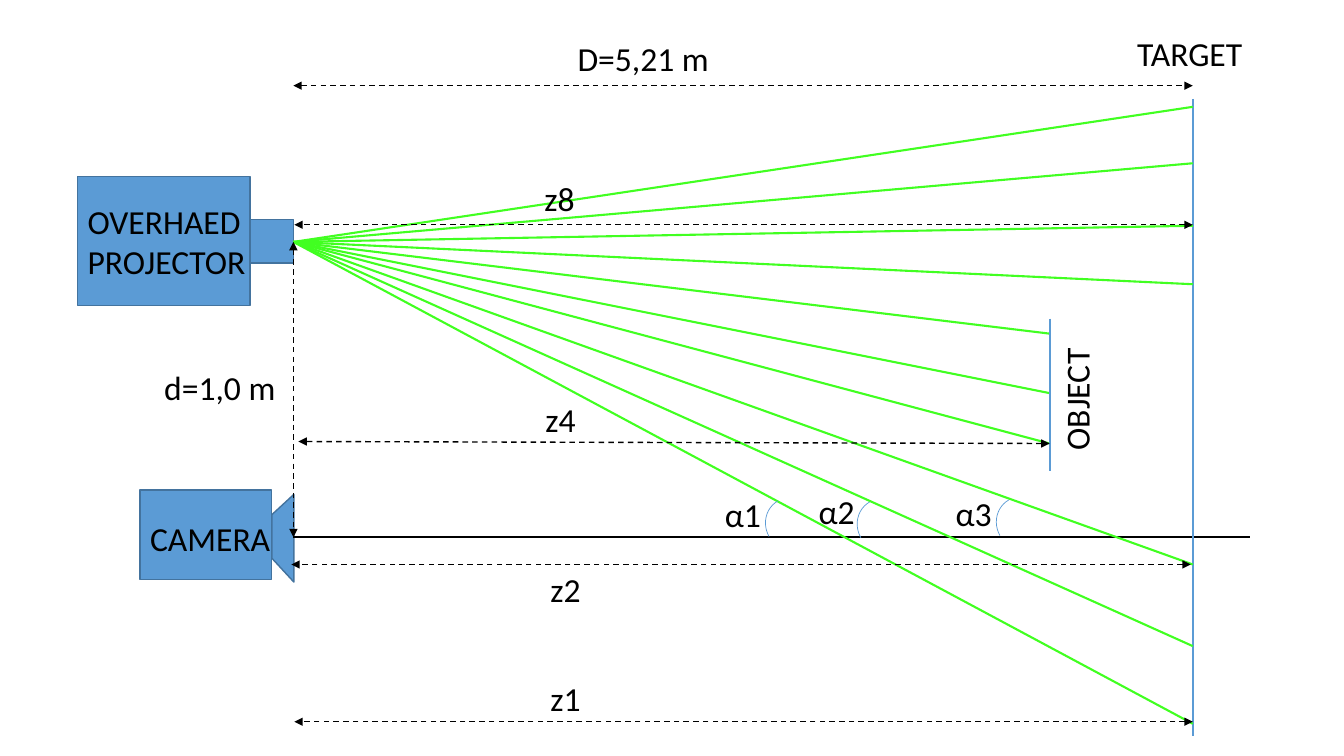
from dataclasses import dataclass
from pptx import Presentation
from pptx.dml.color import RGBColor
from pptx.enum.dml import MSO_LINE
from pptx.enum.shapes import MSO_CONNECTOR, MSO_SHAPE
from pptx.enum.text import MSO_AUTO_SIZE
from pptx.oxml.ns import qn
from pptx.util import Inches, Pt
from lxml.etree import SubElement


@dataclass(frozen=True)
class Theme:
    """Colours, type and line widths of the diagram."""
    blue: RGBColor = RGBColor(0x5B, 0x9B, 0xD5)
    edge: RGBColor = RGBColor(0x43, 0x73, 0x9E)
    green: RGBColor = RGBColor(0x41, 0xFF, 0x21)
    black: RGBColor = RGBColor(0, 0, 0)
    font: str = "Calibri"
    size: Pt = Pt(24)
    thin: Pt = Pt(0.5)
    fine: Pt = Pt(1)
    bold: Pt = Pt(1.5)


THEME = Theme()
LENS = 2.91
WALL = 11.83
FACE = 10.41
AXIS = 5.33
BEAM = 2.4


def add_part(slide, kind, box, turn=0):
    """Add a filled part of a device."""
    part = slide.shapes.add_shape(kind, *map(Inches, box))
    part.rotation = turn
    part.shadow.inherit = False
    part.fill.solid()
    part.fill.fore_color.rgb = THEME.blue
    part.line.color.rgb = THEME.edge
    part.line.width = THEME.fine


def add_arc(slide, left, top):
    """Add the arc that marks an angle."""
    arc = slide.shapes.add_shape(
        MSO_SHAPE.ARC, *map(Inches, (left, top, 0.53, 0.5)))
    arc.rotation = 240.6
    arc.shadow.inherit = False
    arc.fill.background()
    arc.line.color.rgb = THEME.blue
    arc.line.width = THEME.thin


def add_line(slide, start, end, color, width=THEME.bold):
    """Add a straight line without shadow."""
    line = slide.shapes.add_connector(
        MSO_CONNECTOR.STRAIGHT, *map(Inches, (*start, *end)))
    line.line.color.rgb = color
    line.line.width = width
    SubElement(line.element.spPr, qn("a:effectLst"))
    return line


def add_span(slide, start, end):
    """Add a dashed dimension line with two arrowheads."""
    span = add_line(slide, start, end, THEME.black, THEME.fine)
    span.line.dash_style = MSO_LINE.DASH
    stroke = span.element.spPr.find(qn("a:ln"))
    for tag in ("a:headEnd", "a:tailEnd"):
        SubElement(stroke, qn(tag), type="triangle")


def add_label(slide, text, left, top, width, height=0.5, turn=0):
    """Add a text label."""
    label = slide.shapes.add_textbox(
        *map(Inches, (left, top, width, height)))
    label.rotation = turn
    frame = label.text_frame
    frame.word_wrap = True
    frame.auto_size = MSO_AUTO_SIZE.SHAPE_TO_FIT_TEXT
    frame.text = text
    font = frame.paragraphs[0].font
    font.name = THEME.font
    font.size = THEME.size
    font.color.rgb = THEME.black


def add_gear(slide):
    """Draw the projector and the camera with their names."""
    block = MSO_SHAPE.FLOWCHART_PROCESS
    add_part(slide, block, (0.77, 1.75, 1.71, 1.28))
    add_part(slide, block, (1.39, 4.86, 1.3, 0.89))
    add_part(slide, MSO_SHAPE.DIAGONAL_STRIPE, (2.62, 5.02, 0.59, 0.64), 317.3)
    add_part(slide, MSO_SHAPE.RECTANGLE, (2.48, 2.18, 0.43, 0.43))
    add_label(slide, "OVERHAED PROJECTOR", 0.77, 1.94, 1.82, 0.91)
    add_label(slide, "CAMERA", 1.39, 5.09, 1.4)


def add_scene(slide):
    """Draw the camera axis, the target, the object and the rays."""
    add_line(slide, (LENS, AXIS), (12.4, AXIS), THEME.black)
    add_line(slide, (WALL, 0.98), (WALL, 7.3), THEME.blue)
    hits = {WALL: (1.06, 1.62, 2.24, 2.82, 5.6, 6.41, 7.18),
            FACE: (3.31, 3.9, 4.4)}
    for x, ends in hits.items():
        for y in ends:
            add_line(slide, (LENS, BEAM), (x, y), THEME.green)
    add_line(slide, (FACE, 3.16), (FACE, 4.67), THEME.blue)
    add_label(slide, "TARGET", 11.18, 0.28, 1.31)
    add_label(slide, "OBJECT", 10.02, 3.66, 1.31, turn=270)


def add_sizes(slide):
    """Draw the dimension lines with their labels."""
    add_span(slide, (LENS, BEAM), (LENS, AXIS))
    add_label(slide, "d=1,0 m", 1.53, 3.59, 1.38)
    spans = (
        ("D=5,21 m", (LENS, 0.85), (WALL, 0.85), (5.63, 0.33, 1.55)),
        ("z1", (WALL, 7.16), (2.92, 7.16), (5.36, 6.68, 0.55)),
        ("z2", (11.81, 5.6), (2.89, 5.6), (5.36, 5.59, 0.55)),
        ("z4", (FACE, 4.4), (2.96, 4.38), (5.31, 3.91, 0.55)),
        ("z8", (WALL, 2.23), (2.92, 2.23), (5.3, 1.72, 0.55)),
    )
    for text, start, end, box in spans:
        add_span(slide, start, end)
        add_label(slide, text, *box)


def add_angles(slide):
    """Draw the three angles with their labels."""
    spots = (((7.58, 4.95), (7.09, 4.85)),
             ((8.49, 4.96), (8.02, 4.82)),
             ((9.87, 4.94), (9.38, 4.84)))
    for index, (arc, label) in enumerate(spots, 1):
        add_arc(slide, *arc)
        add_label(slide, f"α{index}", *label, 0.65)


def main():
    """Build and save the slide."""
    deck = Presentation()
    deck.slide_width = Inches(13.33)
    deck.slide_height = Inches(7.5)
    slide = deck.slides.add_slide(deck.slide_layouts.get_by_name("Blank"))
    for draw in (add_gear, add_scene, add_sizes, add_angles):
        draw(slide)
    deck.save("out.pptx")


main()
